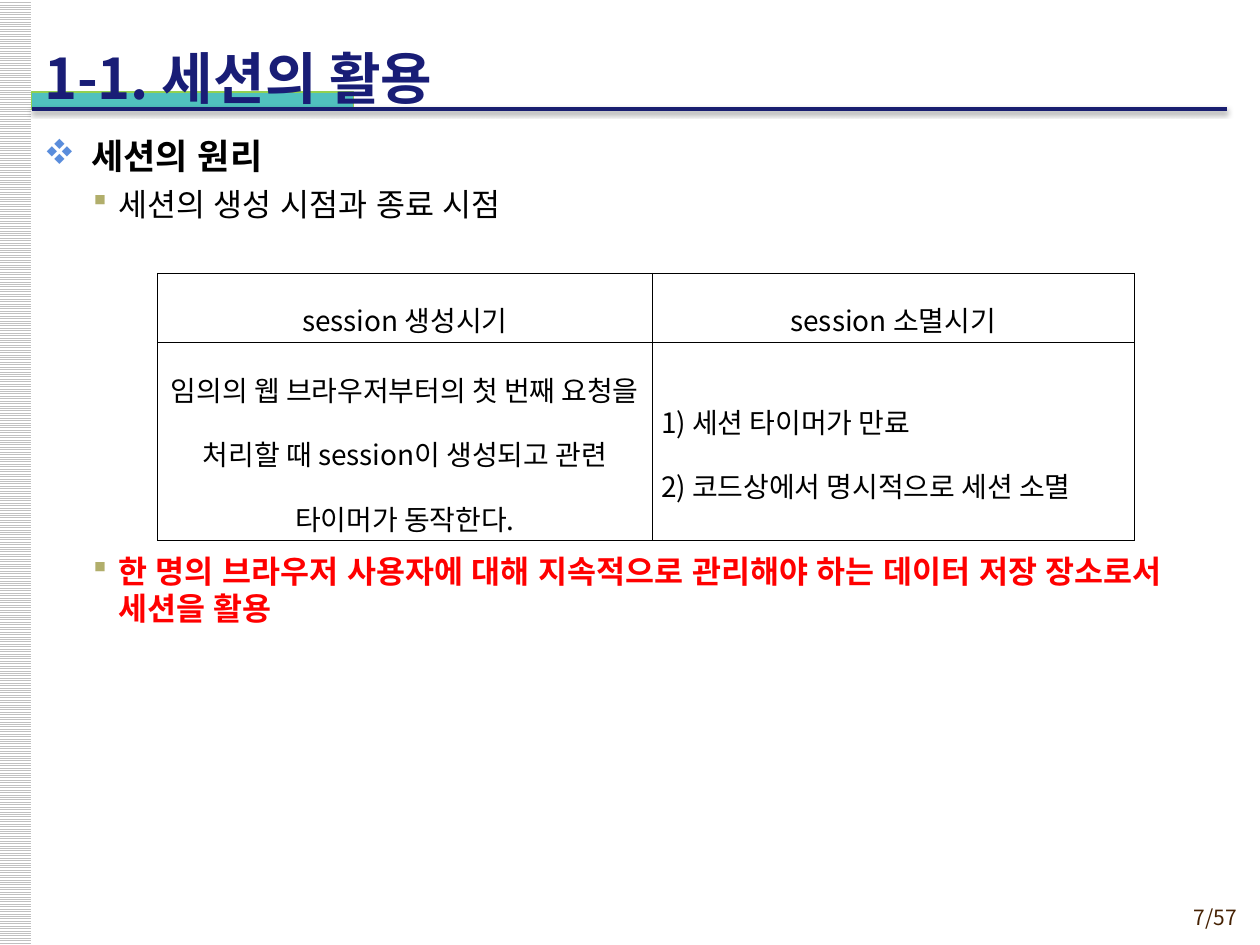
from lxml import etree
from pptx import Presentation, util as u
from pptx.dml.color import RGBColor
from pptx.enum import dml, shapes, text
from pptx.oxml import ns

Pt = u.Pt
SANS, KOR, MARKS = "Arial", "Noto Sans CJK KR", "Wingdings"
COLORS = {"title": "191D76", "rule": "191E70", "teal": "50C1BE", "lime": "92D050",
          "gray": "C0C0C0", "white": "FFFFFF", "black": "000000", "red": "FF0000",
          "brown": "452103", "blue": "5A8DDC", "olive": "B1AE6B"}
TITLE = "1-1. 세션의 활용"
PAGE = "7/57"
STYLES = {"head": ("v", "blue", 27, -27, 20, True),
          "item": ("§", "olive", 42.5, -14.5, 18, False),
          "key": ("§", "olive", 42.5, -14.5, 18, True)}
POINTS = [("head", "세션의 원리", "black", 4),
          ("item", "세션의 생성 시점과 종료 시점", "black", 3.6),
          ("key", "한 명의 브라우저 사용자에 대해 지속적으로 관리해야 하는 "
                  "데이터 저장 장소로서 세션을 활용", "red", 187)]
CELLS = [[["session 생성시기"], ["session 소멸시기"]],
         [["임의의 웹 브라우저부터의 첫 번째 요청을 처리할 때 session이 생성되고 관련 타이머가 동작한다."],
          ["1) 세션 타이머가 만료", "2) 코드상에서 명시적으로 세션 소멸"]]]
COLS, ROWS = [282.8, 275.2], [39.5, 113.5]


def rgb(name):
    return RGBColor.from_string(COLORS[name])


def box(*pts):
    return [Pt(p) for p in pts]


def sub(top, tag, **atts):
    return etree.SubElement(top, ns.qn("a:" + tag), atts)


def add_run(para, words, size, color, font=KOR, bold=False):
    run = para.add_run()
    run.text = words
    run.font.size, run.font.bold, run.font.name = Pt(size), bold, font
    run.font.color.rgb = rgb(color)
    sub(run.font._element, "ea", typeface=font)


def add_frame(slide):
    band = slide.shapes.add_shape(shapes.MSO_SHAPE.RECTANGLE, *box(-0.5, 0, 18.5, 540))
    band.fill.patterned()
    band.fill.pattern = dml.MSO_PATTERN.LIGHT_HORIZONTAL
    band.fill.fore_color.rgb, band.fill.back_color.rgb = rgb("gray"), rgb("white")
    band.line.fill.background()
    bar = slide.shapes.add_shape(shapes.MSO_SHAPE.RECTANGLE, *box(18, 52.5, 184, 10))
    bar.fill.solid()
    bar.fill.fore_color.rgb = rgb("teal")
    bar.line.color.rgb, bar.line.width = rgb("lime"), Pt(0.75)
    for shape in (band, bar):
        shape.shadow.inherit = False
    rule = slide.shapes.add_connector(shapes.MSO_CONNECTOR.STRAIGHT, *box(18, 62.3, 701, 62.3))
    rule.line.color.rgb, rule.line.width = rgb("rule"), Pt(2)
    glow = sub(sub(rule._element.spPr, "effectLst"), "outerShdw", blurRad=str(Pt(3.1)),
               dist=str(Pt(1.6)), dir="5400000", rotWithShape="0")
    sub(sub(glow, "srgbClr", val=COLORS["black"]), "alpha", val="38000")


def add_title(slide):
    title = slide.shapes.title
    title.left, title.top, title.width, title.height = box(18, 20, 678, 48)
    frame = title.text_frame
    frame.auto_size = text.MSO_AUTO_SIZE.NONE
    frame.vertical_anchor = text.MSO_ANCHOR.MIDDLE
    para = frame.paragraphs[0]
    para.alignment = text.PP_ALIGN.LEFT
    add_run(para, TITLE, 32, "title", bold=True)


def add_points(slide):
    frame = slide.shapes.add_textbox(*box(18, 73.5, 684, 450)).text_frame
    frame.word_wrap = True
    for i, (kind, words, color, gap) in enumerate(POINTS):
        mark, tint, left, hang, size, bold = STYLES[kind]
        para = frame.add_paragraph() if i else frame.paragraphs[0]
        para.space_before, para.space_after = Pt(gap), Pt(1)
        props = para._p.get_or_add_pPr()
        props.set("marL", str(Pt(left)))
        props.set("indent", str(Pt(hang)))
        sub(sub(props, "buClr"), "srgbClr", val=COLORS[tint])
        sub(props, "buFont", typeface=MARKS, pitchFamily="2", charset="2")
        sub(props, "buChar", char=mark)
        add_run(para, words, size, color, SANS, bold)


def add_borders(cell):
    props = cell._tc.get_or_add_tcPr()
    for i, side in enumerate(("lnL", "lnR", "lnT", "lnB")):
        edge = sub(props, side, w=str(Pt(0.28)))
        sub(sub(edge, "solidFill"), "srgbClr", val=COLORS["black"])
        props.insert(i, edge)


def add_grid(slide):
    table = slide.shapes.add_table(len(ROWS), len(COLS),
                                   *box(90, 156, sum(COLS), sum(ROWS))).table
    for col, width in zip(table.columns, COLS):
        col.width = Pt(width)
    for row, height, line in zip(table.rows, ROWS, CELLS):
        row.height = Pt(height)
        for cell, paras in zip(row.cells, line):
            cell.fill.background()
            add_borders(cell)
            cell.vertical_anchor = text.MSO_ANCHOR.MIDDLE
            cell.margin_left = cell.margin_right = Pt(5)
            cell.margin_top = cell.margin_bottom = Pt(1.4)
            for i, words in enumerate(paras):
                para = cell.text_frame.add_paragraph() if i else cell.text_frame.paragraphs[0]
                para.line_spacing = 1.6
                para.alignment = (text.PP_ALIGN.JUSTIFY if len(paras) > 1
                                  else text.PP_ALIGN.CENTER)
                add_run(para, words, 16, "black")


def add_page(slide):
    frame = slide.shapes.add_textbox(*box(638, 513.5, 76, 21)).text_frame
    frame.word_wrap = True
    para = frame.paragraphs[0]
    para.alignment = text.PP_ALIGN.RIGHT
    add_run(para, PAGE, 12, "brown")


def main():
    deck = Presentation()
    deck.slide_width, deck.slide_height = box(720, 540)
    slide = deck.slides.add_slide(deck.slide_layouts[5])
    add_frame(slide)
    add_title(slide)
    slide.shapes._spTree.append(slide.shapes.title._element)
    add_points(slide)
    add_grid(slide)
    add_page(slide)
    deck.save("out.pptx")


if __name__ == "__main__":
    main()
